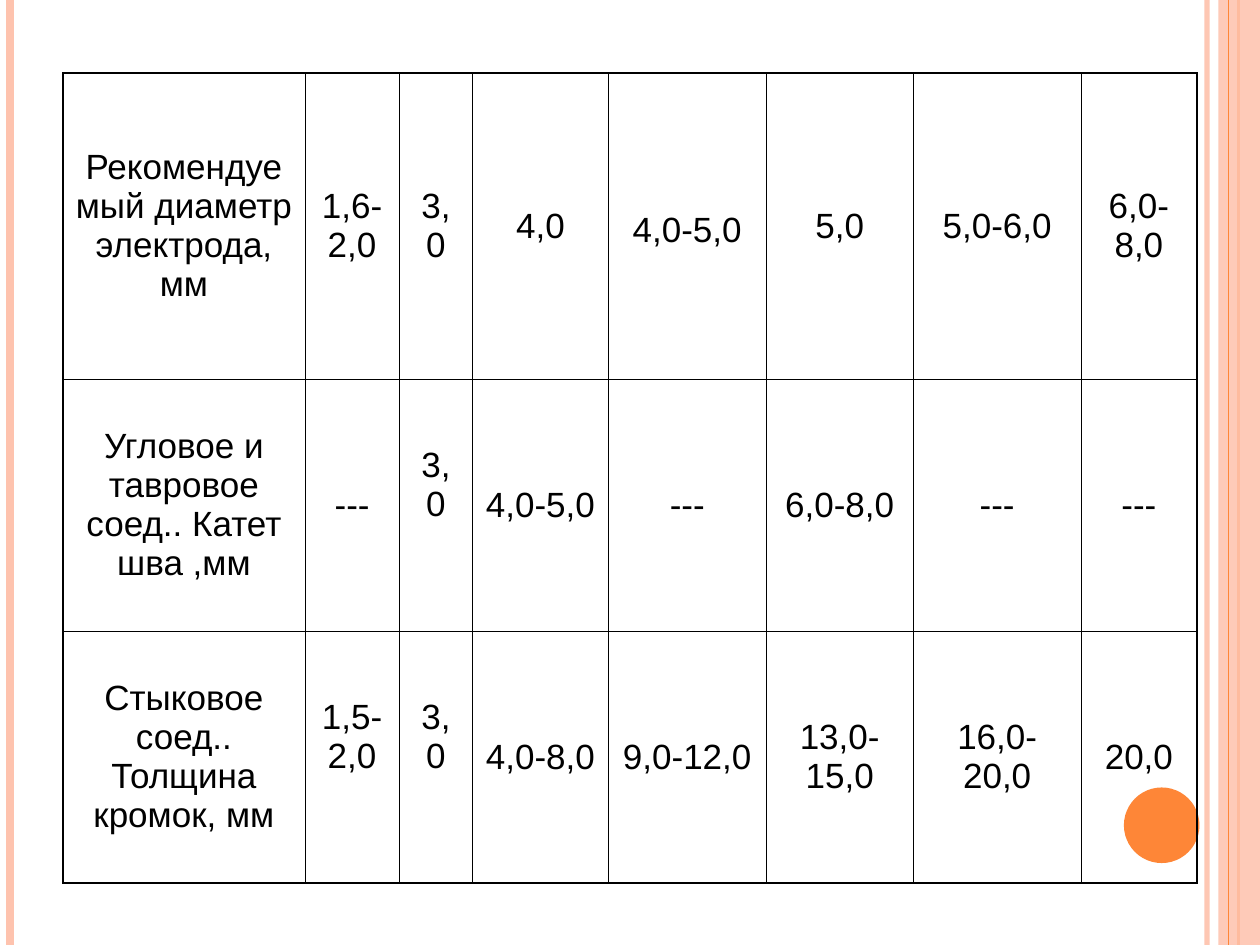
from lxml import etree
from pptx import Presentation
from pptx import util as u
from pptx.dml.color import RGBColor
from pptx.enum import shapes, text
from pptx.oxml.ns import qn

PEACH, ORANGE, BLACK = "FEC3AE", "FE8637", "000000"
THIN, THICK = 0.45, 1.08
COLUMN_WIDTHS = [1.92, 0.75, 0.58, 1.08, 1.25, 1.17, 1.33, 0.92]
ROW_HEIGHTS = [2.43, 2, 2]
ROWS = [
    ["Рекомендуемый диаметр электрода, мм", "1,6-2,0", "3,0", "4,0",
     "4,0-5,0", "5,0", "5,0-6,0", "6,0-8,0"],
    ["Угловое и тавровое соед.. Катет шва ,мм", "---", "3,0", "4,0-5,0",
     "---", "6,0-8,0", "---", "---"],
    ["Стыковое соед.. Толщина кромок, мм", "1,5-2,0", "3,0", "4,0-8,0",
     "9,0-12,0", "13,0-15,0", "16,0-20,0", "20,0"],
]
RAISED_CELLS = {(1, 2), (2, 1), (2, 2)}
LOWERED_CELLS = {(0, 4)}


def set_color(color_format, value, alpha=100):
    color_format.rgb = RGBColor.from_string(value)
    if alpha < 100:
        color = color_format._xFill.find(qn("a:srgbClr"))
        etree.SubElement(color, qn("a:alpha"), val=str(alpha * 1000))


def add_stripe(slide, x, color, width, alpha=100):
    line = slide.shapes.add_connector(
        shapes.MSO_CONNECTOR.STRAIGHT, u.Inches(x), 0, u.Inches(x), u.Inches(7.5))
    line.line.width = u.Pt(width)
    line.line.fill.solid()
    set_color(line.line.fill.fore_color, color, alpha)
    etree.SubElement(line._element.spPr, qn("a:effectLst"))


def add_filled_shape(slide, kind, box, color, alpha=100):
    shape = slide.shapes.add_shape(kind, *map(u.Inches, box))
    shape.shadow.inherit = False
    shape.line.fill.background()
    shape.fill.solid()
    fill = shape._element.spPr.find(qn("a:solidFill"))
    shape.fill.fore_color.rgb = RGBColor.from_string(color)
    if alpha < 100:
        etree.SubElement(fill[0], qn("a:alpha"), val=str(alpha * 1000))


def write_text(frame, content, size=20, font="Arial", color=BLACK,
               align=text.PP_ALIGN.CENTER):
    paragraph = frame.paragraphs[0]
    paragraph.alignment = align
    run = paragraph.add_run()
    run.text = content
    run.font.size = u.Pt(size)
    run.font.name = font
    set_color(run.font.color, color)


def set_borders(cell, widths):
    properties = cell._tc.get_or_add_tcPr()
    for index, (side, width) in enumerate(widths.items()):
        border = etree.Element(qn(f"a:ln{side}"), w=str(u.Pt(width)))
        fill = etree.SubElement(border, qn("a:solidFill"))
        etree.SubElement(fill, qn("a:srgbClr"), val=BLACK)
        properties.insert(index, border)


def add_electrode_table(slide):
    last_row, last_column = len(ROWS) - 1, len(COLUMN_WIDTHS) - 1
    table = slide.shapes.add_table(
        len(ROWS), len(COLUMN_WIDTHS), u.Inches(0.5), u.Inches(0.58),
        u.Inches(sum(COLUMN_WIDTHS)), u.Inches(sum(ROW_HEIGHTS))).table
    table.first_row = table.horz_banding = False
    for column, width in zip(table.columns, COLUMN_WIDTHS):
        column.width = u.Inches(width)
    for row, height in zip(table.rows, ROW_HEIGHTS):
        row.height = u.Inches(height)
    for r, values in enumerate(ROWS):
        for c, value in enumerate(values):
            cell = table.cell(r, c)
            cell.fill.background()
            cell.vertical_anchor = text.MSO_ANCHOR.MIDDLE
            if (r, c) in RAISED_CELLS:
                cell.margin_bottom = u.Inches(0.37)
            if (r, c) in LOWERED_CELLS:
                cell.margin_top = u.Inches(0.11)
            write_text(cell.text_frame, value)
            set_borders(cell, {
                "L": THICK if c == 0 else THIN,
                "R": THICK if c == last_column else THIN,
                "T": THICK if r == 0 else THIN,
                "B": THICK if r == last_row else THIN,
            })


def main():
    presentation = Presentation()
    presentation.slide_width = u.Inches(10)
    presentation.slide_height = u.Inches(7.5)
    slide = presentation.slides.add_slide(presentation.slide_layouts[6])
    add_stripe(slide, 9.58, PEACH, 3, alpha=93)
    add_stripe(slide, 0.08, PEACH, 4.5)
    add_stripe(slide, 9.83, ORANGE, 1.5)
    add_filled_shape(slide, shapes.MSO_SHAPE.RECTANGLE, (9.67, 0, 0.33, 7.5), PEACH, alpha=87)
    add_stripe(slide, 9.75, ORANGE, 0.75)
    add_filled_shape(slide, shapes.MSO_SHAPE.OVAL, (8.92, 6.25, 0.6, 0.6), ORANGE)
    add_electrode_table(slide)
    presentation.save("out.pptx")


if __name__ == "__main__":
    main()
